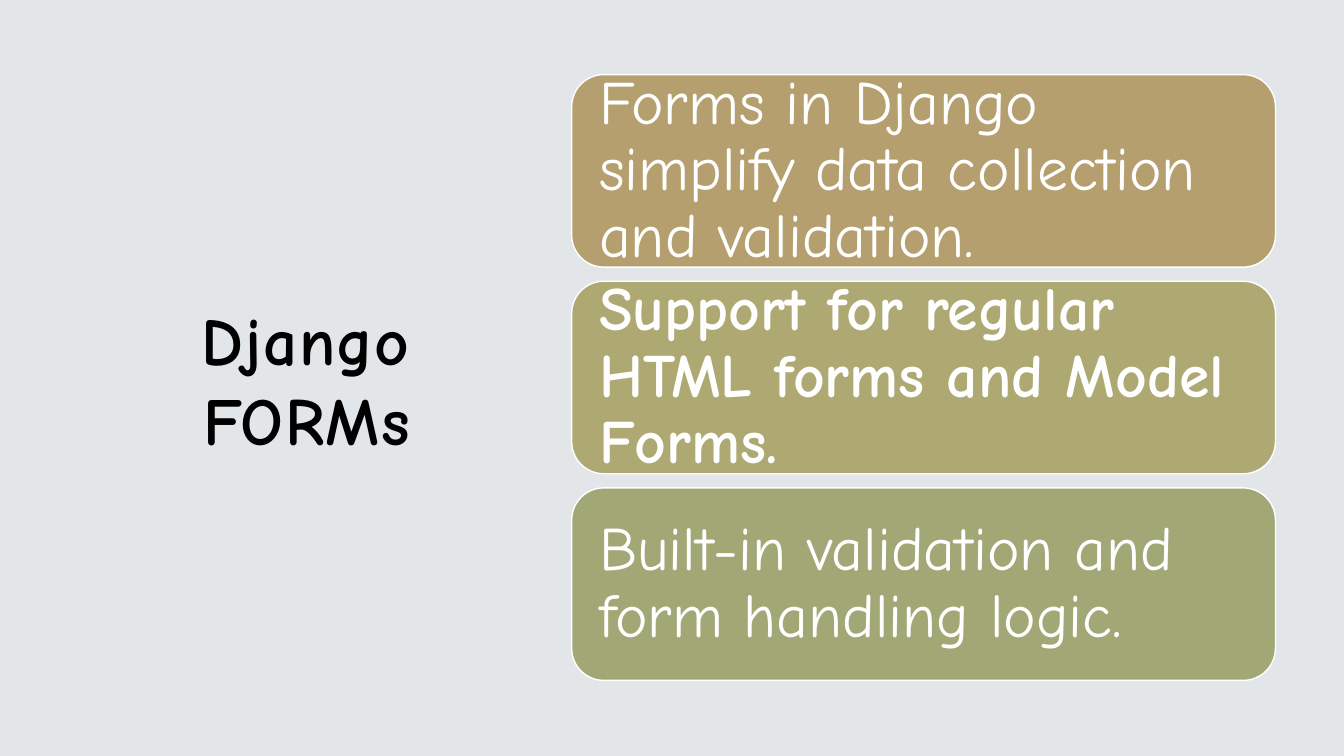
"""Build the Django forms slide with a title and three stacked cards."""
from dataclasses import dataclass

from pptx import Presentation
from pptx.dml.color import RGBColor
from pptx.enum.shapes import MSO_SHAPE
from pptx.enum.text import MSO_ANCHOR, MSO_AUTO_SIZE, PP_ALIGN
from pptx.util import Inches, Pt


@dataclass(frozen=True)
class Theme:
    font: str = "Comic Neue"
    background: str = "E2E6E8"
    title_color: str = "000000"
    card_text: str = "FFFFFF"
    card_fills: tuple = ("B59F6F", "AEA872", "A2A776")
    title_size: int = 48
    card_size: int = 44


class FormsSlide:
    def __init__(self, deck, theme):
        self.theme = theme
        self.slide = deck.slides.add_slide(deck.slide_layouts[5])
        self.paint(self.slide.background.fill, theme.background)

    def paint(self, fill, color):
        fill.solid()
        fill.fore_color.rgb = RGBColor.from_string(color)

    def set_text(self, frame, text, size, color, bold, align, spacing, inset):
        frame.text = text
        frame_format = {
            "word_wrap": True,
            "auto_size": MSO_AUTO_SIZE.NONE,
            "vertical_anchor": MSO_ANCHOR.MIDDLE,
            "margin_left": inset,
            "margin_right": inset,
            "margin_top": inset,
            "margin_bottom": inset,
        }
        for name, value in frame_format.items():
            setattr(frame, name, value)
        paragraph = frame.paragraphs[0]
        paragraph.alignment = align
        paragraph.line_spacing = spacing
        run = paragraph.runs[0]
        font_format = {"name": self.theme.font, "size": Pt(size), "bold": bold}
        for name, value in font_format.items():
            setattr(run.font, name, value)
        run.font.color.rgb = RGBColor.from_string(color)
        return run

    def title(self, text, left, top, width, height):
        heading = self.slide.shapes.title
        place = {"left": left, "top": top, "width": width, "height": height}
        for name, value in place.items():
            setattr(heading, name, Inches(value))
        run = self.set_text(heading.text_frame, text, self.theme.title_size,
                            self.theme.title_color, True, PP_ALIGN.CENTER, 1.0, Inches(0.1))
        run._r.get_or_add_rPr().set("spc", "100")

    def card(self, text, fill, bold, left, top, width, height):
        card = self.slide.shapes.add_shape(
            MSO_SHAPE.ROUNDED_RECTANGLE, *map(Inches, (left, top, width, height)))
        card.shadow.inherit = False
        self.paint(card.fill, fill)
        self.paint(card.line.fill, self.theme.card_text)
        card.line.width = Pt(1)
        self.set_text(card.text_frame, text, self.theme.card_size,
                      self.theme.card_text, bold, PP_ALIGN.LEFT, 0.9, Inches(0.18))


def main():
    deck = Presentation()
    deck.slide_width, deck.slide_height = Inches(13.33), Inches(7.5)
    theme = Theme()
    forms = FormsSlide(deck, theme)
    forms.title("Django FORMs", 0.97, 1.07, 4.14, 5.37)

    benefits = (
        ("Forms in Django simplify data collection and validation.", False),
        ("Support for regular HTML forms and Model Forms.", True),
        ("Built-in validation and form handling logic.", False),
    )
    first_top, card_height, gap = 0.74, 1.91, 0.14
    for row, ((text, bold), fill) in enumerate(zip(benefits, theme.card_fills)):
        top = first_top + row * (card_height + gap)
        forms.card(text, fill, bold, 5.67, top, 6.98, card_height)
    deck.save("out.pptx")


if __name__ == "__main__":
    main()
